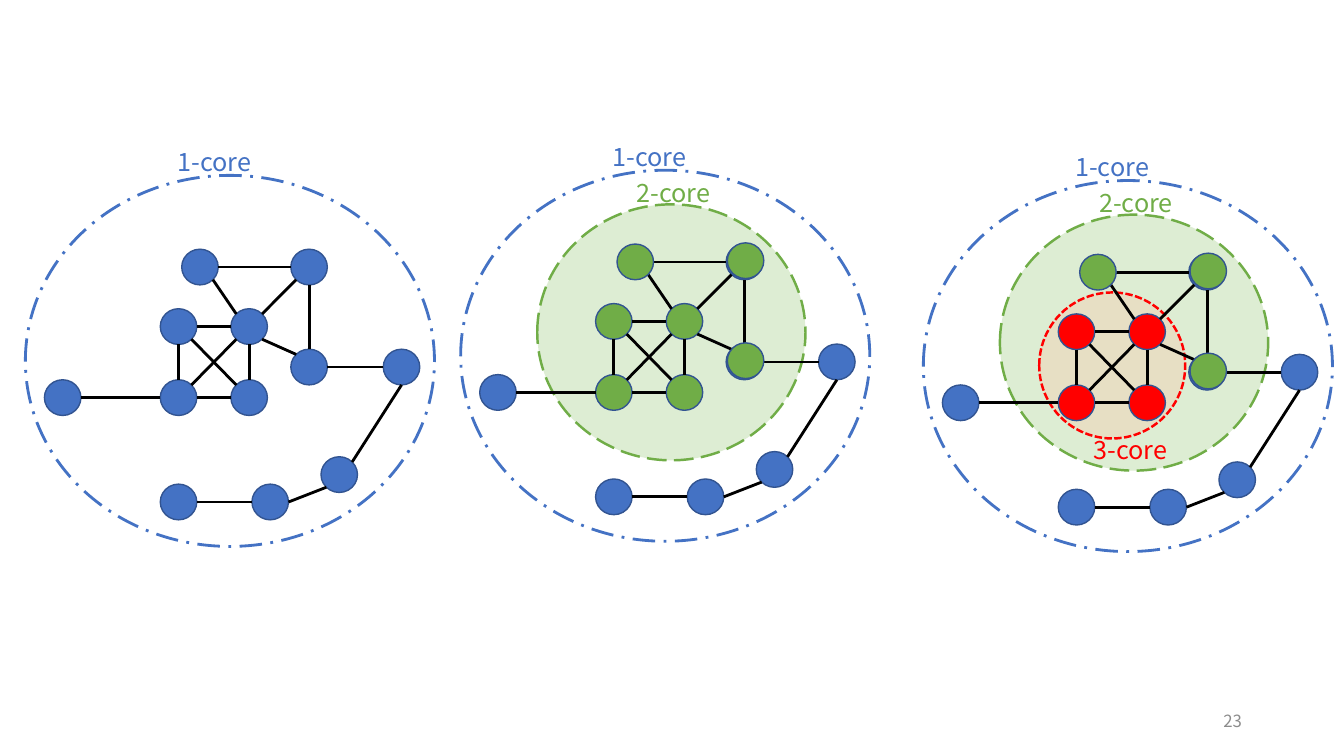
from dataclasses import dataclass
from math import cos, radians, sin

from lxml import etree
from pptx import Presentation
from pptx.dml.color import RGBColor
from pptx.enum.dml import MSO_LINE
from pptx.enum.shapes import MSO_CONNECTOR, MSO_SHAPE
from pptx.enum.text import MSO_ANCHOR, MSO_AUTO_SIZE, PP_ALIGN
from pptx.oxml.ns import qn
from pptx.util import Cm, Pt

OVAL = MSO_SHAPE.OVAL
STRAIGHT = MSO_CONNECTOR.STRAIGHT
LONG_DOT, LONG, SHORT = MSO_LINE.LONG_DASH_DOT, MSO_LINE.LONG_DASH, MSO_LINE.SQUARE_DOT
LEFT, RIGHT = PP_ALIGN.LEFT, PP_ALIGN.RIGHT
TOP, MIDDLE = MSO_ANCHOR.TOP, MSO_ANCHOR.MIDDLE
GROW, FIXED = MSO_AUTO_SIZE.SHAPE_TO_FIT_TEXT, MSO_AUTO_SIZE.NONE


@dataclass(frozen=True)
class Theme:
    font: str = "Noto Sans CJK SC"
    blue: str = "4472C4"
    green: str = "70AD47"
    red: str = "FF0000"
    mint: str = "A9D18E"
    peach: str = "F8CBAD"
    rim: str = "325491"
    black: str = "000000"
    gray: str = "8C8C8C"
    label: int = 18
    number: int = 12


THEME = Theme()

# Graph: top left corner of each node, in cm from the corner of the outer ring
NODE_W, NODE_H = 0.92, 0.9
NODES = {
    "a": (3.4, 3.36), "b": (3.4, 5.15), "c": (5.18, 5.15), "d": (5.18, 3.36),
    "e": (3.94, 1.86), "f": (6.69, 1.86), "g": (6.69, 4.38), "h": (9.02, 4.38),
    "i": (7.45, 7.09), "j": (0.48, 5.15), "k": (3.4, 7.78), "l": (5.71, 7.78),
}
# Edges: from node, its side, to node, its side
EDGES = [edge.split() for edge in (
    "a S b N", "d S c N", "d SW b NE", "a SE c NW", "a E d W", "b E c W",
    "e SE d NW", "e E f W", "d NE f SW", "g NW d SE", "h W g E", "i NE h S",
    "l E i SW", "b W j E", "l W k E", "g N f S",
)]
ANGLES = {side: 45 * n for n, side in enumerate("E SE S SW W NW N NE".split())}

# Cores: ring box, ring style, and label box, by level
CORES = {
    1: {"box": (0, 0, 10.31, 9.35), "color": THEME.blue, "width": 2,
        "dash": LONG_DOT, "fill": None, "label": (3.58, -0.86, 3.15)},
    2: {"box": (1.93, 0.86, 6.76, 6.45), "color": THEME.green, "width": 1.75,
        "dash": LONG, "fill": THEME.mint, "label": (4.18, 0.05, 3.15)},
    3: {"box": (2.92, 2.82, 3.68, 3.68), "color": THEME.red, "width": 1.75,
        "dash": SHORT, "fill": THEME.peach, "label": (4.04, 6.27, 2.92)},
}
SQUARE, SHELL, TWICE = "abcd", "efg", "fg"
PANELS = [(0.64, 4.42, 1), (11.61, 4.29, 2), (23.27, 4.55, 3)]


def apply(target, values):
    for name, value in values.items():
        setattr(target, name, value)


class Canvas:
    def __init__(self, slide, theme):
        self.slide, self.theme = slide, theme
        self.shapes = slide.shapes
        self.x = self.y = 0

    def begin(self, x, y):
        """Open a new group whose elements are placed from (x, y)."""
        self.shapes = self.slide.shapes.add_group_shape().shapes
        self.x, self.y = x, y

    def end(self):
        self.shapes, self.x, self.y = self.slide.shapes, 0, 0

    def spot(self, x, y):
        return Cm(self.x + x), Cm(self.y + y)

    def stroke(self, line, color, width, dash=None):
        line.color.rgb = RGBColor.from_string(color)
        apply(line, {"width": Pt(width), "dash_style": dash})

    def oval(self, box, fill, color, width, dash=None, alpha=None):
        x, y, w, h = box
        oval = self.shapes.add_shape(OVAL, *self.spot(x, y), Cm(w), Cm(h))
        oval.shadow.inherit = False
        if fill:
            oval.fill.solid()
            oval.fill.fore_color.rgb = RGBColor.from_string(fill)
        else:
            oval.fill.background()
        if alpha:
            tint = oval.fill._xPr.find(qn("a:solidFill"))[0]
            etree.SubElement(tint, qn("a:alpha"), val=str(alpha * 1000))
        self.stroke(oval.line, color, width, dash)

    def node(self, name, fill, shift=0):
        x, y = NODES[name]
        self.oval((x + shift, y - shift, NODE_W, NODE_H), fill, self.theme.rim, 1)

    def site(self, name, side):
        x, y = NODES[name]
        turn = radians(ANGLES[side])
        return self.spot(x + NODE_W / 2 * (1 + cos(turn)),
                         y + NODE_H / 2 * (1 + sin(turn)))

    def edge(self, start, out, stop, into):
        edge = self.shapes.add_connector(
            STRAIGHT, *self.site(start, out), *self.site(stop, into))
        self.stroke(edge.line, self.theme.black, 2)
        etree.SubElement(edge._element.spPr, qn("a:effectLst"))

    def text(self, words, box, size, color, align=LEFT, anchor=TOP, fit=GROW):
        x, y, w = box
        frame = self.shapes.add_textbox(*self.spot(x, y), Cm(w), Cm(1.02)).text_frame
        apply(frame, {"word_wrap": True, "auto_size": fit, "vertical_anchor": anchor})
        para = frame.paragraphs[0]
        apply(para, {"text": words, "alignment": align})
        font = para.runs[0].font
        apply(font, {"name": self.theme.font, "size": Pt(size)})
        font.color.rgb = RGBColor.from_string(color)

    def ring(self, level):
        core = CORES[level]
        self.oval(core["box"], core["fill"], core["color"], core["width"],
                  core["dash"], 39 if core["fill"] else None)

    def panel(self, x, y, depth):
        self.begin(x, y)
        # Filled inner cores lie behind the graph
        for level in range(2, depth + 1):
            self.ring(level)
        # Graph
        for name in NODES:
            if name in SQUARE:
                self.node(name, CORES[depth]["color"])
            elif depth == 1 or name not in "e":
                self.node(name, self.theme.blue)
        for edge in EDGES:
            self.edge(*edge)
        # Outer ring and core labels
        self.ring(1)
        for level in range(1, depth + 1):
            core = CORES[level]
            self.text(f"{level}-core", core["label"], self.theme.label, core["color"])
        # Shell nodes of the 2-core
        if depth > 1:
            for name in SHELL:
                self.node(name, self.theme.green, 0.03 if name in TWICE else 0)
        self.end()


def main():
    deck = Presentation()
    apply(deck, {"slide_width": Cm(33.87), "slide_height": Cm(19.05)})
    canvas = Canvas(deck.slides.add_slide(deck.slide_layouts[6]), THEME)

    # Slide number
    canvas.text("23", (23.93, 17.65, 7.62), THEME.number, THEME.gray,
                RIGHT, MIDDLE, FIXED)

    # One panel for each depth of core
    for x, y, depth in PANELS:
        canvas.panel(x, y, depth)

    deck.save("out.pptx")


if __name__ == "__main__":
    main()
